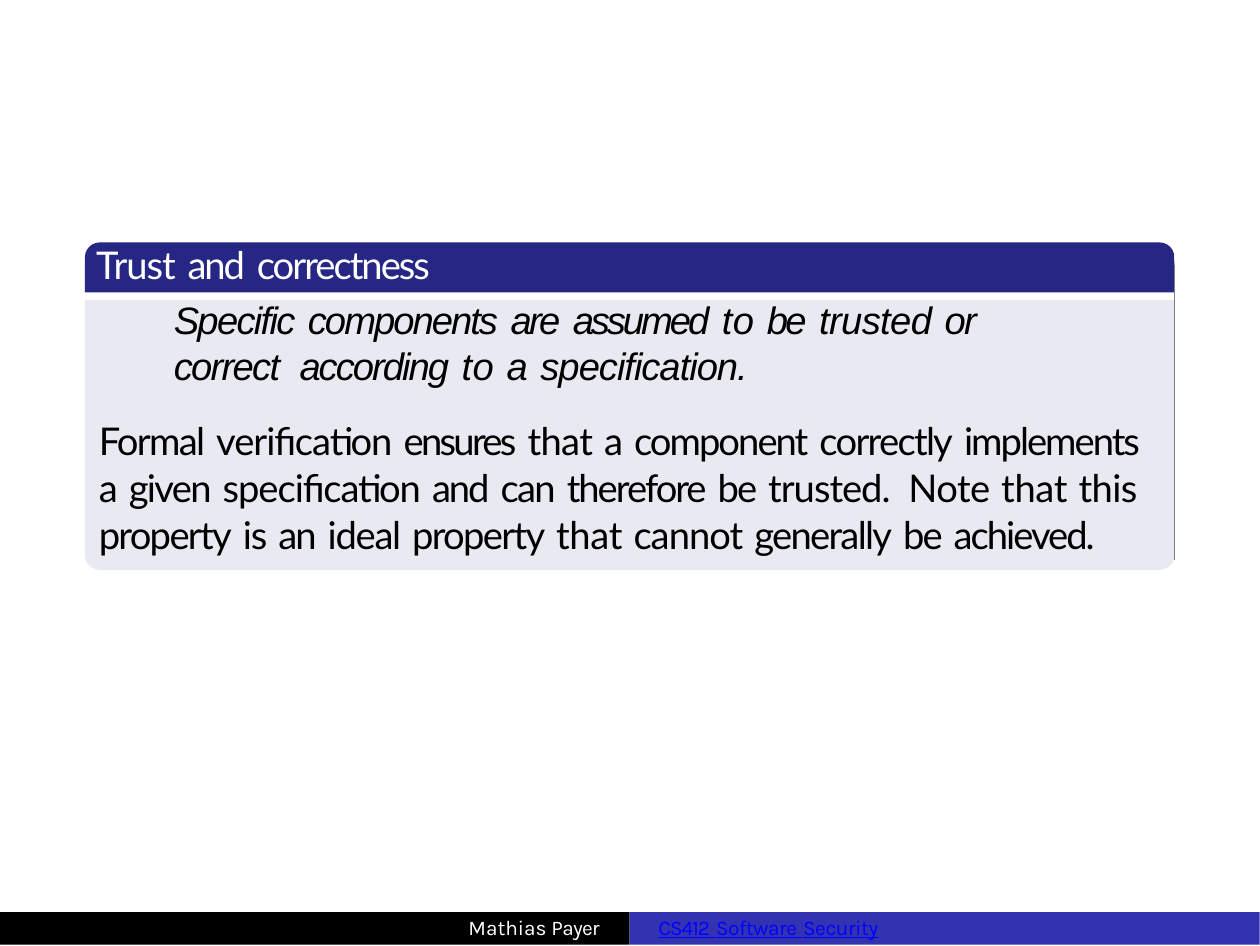
from dataclasses import dataclass
from typing import NamedTuple

from lxml import etree
from pptx import Presentation, util as u
from pptx.dml.color import RGBColor
from pptx.enum import shapes, text
from pptx.oxml import ns

COLUMNS = 504  # fine grid, one cell is 0.01 inch
CELL = u.Inches(0.01)


@dataclass(frozen=True)
class Theme:
    white: str = "FFFFFF"
    black: str = "000000"
    header: str = "262685"
    panel: str = "E9E9F2"
    footer: str = "3333B2"
    link: str = "0000FF"
    main_size: float = 11
    footer_size: float = 6
    main_font: str = "Lato"
    quote_font: str = "Arial"
    footer_font: str = "Karla"


THEME = Theme()


class Area(NamedTuple):
    column: float
    row: float
    columns: float
    rows: float


class Panel(NamedTuple):
    area: Area
    fill: str
    top_radius: float = 0
    bottom_radius: float = 0


class Edge(NamedTuple):
    top: float
    bottom: float
    color: str


class Span(NamedTuple):
    words: str
    spacing: float = 0  # points between letters
    extra_gap: float = 0  # points added to the space after the span


@dataclass(frozen=True)
class Passage:
    spans: list[Span]
    font: str
    size: float
    color: str
    gap: float = 0  # points added to each space
    left: float = 1
    right: float = 0
    before: float = 0
    lines: float = 1.0
    italic: bool = False
    underline: bool = False


PANELS = [
    Panel(Area(34, 97, 436, 20), THEME.header, top_radius=6),
    Panel(Area(34, 120, 436, 108), THEME.panel, bottom_radius=6),
    Panel(Area(0, 365, COLUMNS / 2, 13), THEME.black),
    Panel(Area(COLUMNS / 2, 365, COLUMNS / 2, 13), THEME.footer),
]
EDGE_COLUMN = 470
EDGES = [Edge(106, 224, "7F7F7F"), Edge(105, 106, "AFAFAF"),
         Edge(104, 105, "CECECE"), Edge(102, 104, "EFEFEF")]

HEADING = Passage([Span("Trust", -0.3), Span("and correctness", -0.6)],
                  THEME.main_font, THEME.main_size, THEME.white, gap=0.5)
QUOTE = Passage(
    [Span("Specific", -0.5), Span("components", -0.6), Span("are", -0.8),
     Span("assumed", -0.9), Span("to", 0.1), Span("be", -0.8),
     Span("trusted", -0.2), Span("or", -0.5), Span("correct", -0.5, 2),
     Span("according", -0.6), Span("to", 0.1), Span("a", -0.9),
     Span("specification.", -0.3)],
    THEME.quote_font, THEME.main_size, THEME.black, gap=0.5,
    left=32, right=50, lines=1.02, italic=True)
EXPLANATION = Passage(
    [Span("Formal", -0.5), Span("verification", -0.3), Span("ensures", -0.8),
     Span("that", -0.2), Span("a", -0.7), Span("component", -0.6),
     Span("correctly", -0.5), Span("implements", -0.6), Span("a", -0.7),
     Span("given", -0.5), Span("specification", -0.3), Span("and", -0.6),
     Span("can", -0.5), Span("therefore be", -0.6), Span("trusted.", -0.3, 2),
     Span("Note", -0.2), Span("that", -0.1), Span("this", -0.2),
     Span("property", -0.5), Span("is", -0.3), Span("an", -0.6),
     Span("ideal", -0.4), Span("property", -0.5), Span("that", -0.1),
     Span("cannot", -0.3), Span("generally", -0.5), Span("be achieved.", -0.6)],
    THEME.main_font, THEME.main_size, THEME.black, gap=0.3,
    left=2, before=8.1, lines=1.02)
AUTHOR = Passage([Span("Mathias"), Span("Payer", -0.2)],
                 THEME.footer_font, THEME.footer_size, THEME.white)
COURSE = Passage(
    [Span("CS412", -0.3), Span("Software", -0.1), Span("Security", -0.1)],
    THEME.footer_font, THEME.footer_size, THEME.link, gap=0.3, underline=True)


def cells(count: float) -> int:
    return round(count * CELL)


def draw_panel(page, panel: Panel) -> None:
    rounded = panel.top_radius or panel.bottom_radius
    kind = shapes.MSO_SHAPE.ROUND_2_SAME_RECTANGLE if rounded else shapes.MSO_SHAPE.RECTANGLE
    box = page.shapes.add_shape(kind, *map(cells, panel.area))
    if rounded:
        side = min(panel.area.columns, panel.area.rows)
        box.adjustments[0] = panel.top_radius / side
        box.adjustments[1] = panel.bottom_radius / side
    box.shadow.inherit = False
    box.fill.solid()
    box.fill.fore_color.rgb = RGBColor.from_string(panel.fill)
    box.line.fill.background()


def draw_edge(page, edge: Edge) -> None:
    line = page.shapes.add_connector(
        shapes.MSO_CONNECTOR.STRAIGHT, cells(EDGE_COLUMN), cells(edge.bottom),
        cells(EDGE_COLUMN), cells(edge.top))
    line.line.color.rgb = RGBColor.from_string(edge.color)
    line.line.width = u.Pt(0.25)
    etree.SubElement(line.element.spPr, ns.qn("a:effectLst"))


def split_words(passage: Passage) -> list[Span]:
    """Give every word and every space its own letter spacing."""
    pieces: list[Span] = []
    for span in passage.spans:
        for word in span.words.split():
            pieces += [Span(word, span.spacing), Span(" ", passage.gap + span.extra_gap)]
    return pieces[:-1]


def write_passage(para, passage: Passage) -> None:
    properties = para._p.get_or_add_pPr()
    properties.set("marL", str(cells(passage.left)))
    properties.set("marR", str(cells(passage.right)))
    properties.set("indent", "0")
    etree.SubElement(properties, ns.qn("a:buNone"))
    para.alignment = text.PP_ALIGN.LEFT
    para.space_before = u.Pt(passage.before)
    para.line_spacing = passage.lines
    for piece in split_words(passage):
        run = para.add_run()
        run.text = piece.words
        run.font.name = passage.font
        run.font.size = u.Pt(passage.size)
        run.font.italic = passage.italic
        run.font.underline = passage.underline
        run.font.color.rgb = RGBColor.from_string(passage.color)
        run.font._element.set("spc", str(round(piece.spacing * 100)))


def fill_box(box, area: Area, passages: list[Passage]) -> None:
    box.left, box.top, box.width, box.height = map(cells, area)
    frame = box.text_frame
    frame.margin_left = frame.margin_top = frame.margin_right = frame.margin_bottom = 0
    frame.word_wrap = True
    frame.auto_size = text.MSO_AUTO_SIZE.NONE
    frame.vertical_anchor = text.MSO_ANCHOR.TOP
    for index, passage in enumerate(passages):
        para = frame.add_paragraph() if index else frame.paragraphs[0]
        write_passage(para, passage)


def main() -> None:
    deck = Presentation()
    deck.slide_width = u.Pt(363)
    deck.slide_height = u.Pt(272.5)
    page = deck.slides.add_slide(deck.slide_layouts[1])
    title, body = page.placeholders

    # Block, its right edge and the footer bars
    for panel in PANELS:
        draw_panel(page, panel)
    for edge in EDGES:
        draw_edge(page, edge)

    # Heading and text, brought in front of the block
    fill_box(title, Area(37.5, 96.75, 429, 19), [HEADING])
    fill_box(body, Area(37.5, 118, 430, 106), [QUOTE, EXPLANATION])
    for box in (title, body):
        box.element.getparent().append(box.element)

    # Footer
    for area, passage in ((Area(186.5, 366, 60, 12), AUTHOR),
                          (Area(262.5, 366, 100, 12), COURSE)):
        fill_box(page.shapes.add_textbox(0, 0, 0, 0), area, [passage])

    deck.save("out.pptx")


if __name__ == "__main__":
    main()
